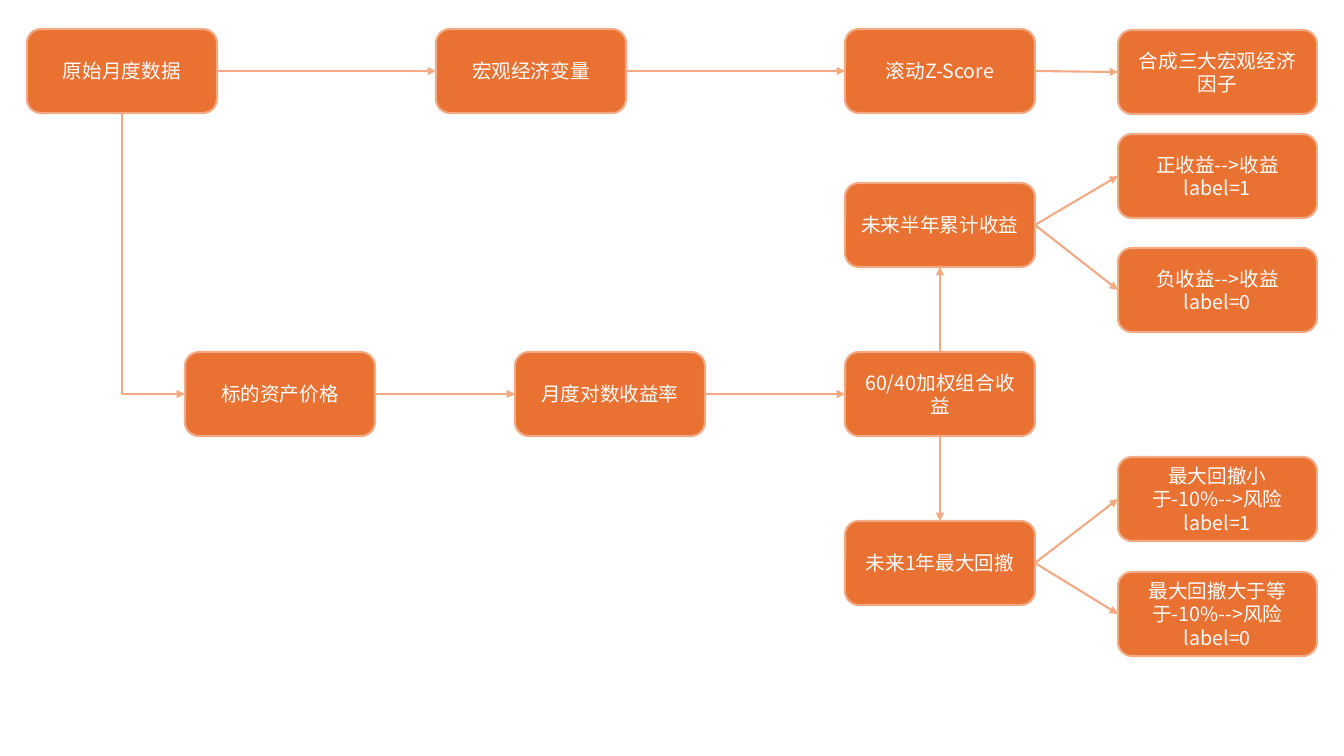
from lxml import etree
from pptx import Presentation
from pptx import util as u
from pptx.dml.color import RGBColor
from pptx.enum import shapes, text
from pptx.oxml import ns

COLOURS = {"box": "E97132", "line": "F2AA84", "text": "FFFFFF"}
FONT = "Noto Sans CJK SC"
TOP, LEFT, BOTTOM, RIGHT = range(4)
BOX_WIDTH, OUTCOME_WIDTH, BOX_HEIGHT = 190, 199, 84


def px(length):
    return u.Emu(round(length * 914400 / 100.8))


def colour(name):
    return RGBColor.from_string(COLOURS[name])


class FlowChart:
    def __init__(self, page):
        self.page = page

    def outline(self, item):
        item.line.color.rgb = colour("line")
        item.line.width = u.Pt(1.5)

    def box(self, words, left, top, width):
        box = self.page.shapes.add_shape(
            shapes.MSO_SHAPE.ROUNDED_RECTANGLE,
            px(left), px(top), px(width), px(BOX_HEIGHT))
        box.shadow.inherit = False
        box.fill.solid()
        box.fill.fore_color.rgb = colour("box")
        self.outline(box)
        frame = box.text_frame
        frame.word_wrap = True
        frame.vertical_anchor = text.MSO_ANCHOR.MIDDLE
        para = frame.paragraphs[0]
        para.alignment = text.PP_ALIGN.CENTER
        span = para.add_run()
        span.text = words
        span.font.size = u.Pt(14)
        span.font.name = FONT
        span.font.color.rgb = colour("text")
        east_asian = etree.SubElement(span.font._element, ns.qn("a:ea"))
        east_asian.set("typeface", FONT)
        return box

    def arrow(self, start, start_side, end, end_side,
              kind=shapes.MSO_CONNECTOR.STRAIGHT):
        arrow = self.page.shapes.add_connector(kind, 0, 0, 0, 0)
        arrow.begin_connect(start, start_side)
        arrow.end_connect(end, end_side)
        self.outline(arrow)
        line = arrow.line._get_or_add_ln()
        etree.SubElement(line, ns.qn("a:tailEnd")).set("type", "triangle")
        etree.SubElement(arrow._element.spPr, ns.qn("a:effectLst"))
        return arrow

    def corner_arrow(self, start, end):
        """Go down from start, then right into end, with a single bend."""
        arrow = self.arrow(start, BOTTOM, end, LEFT, shapes.MSO_CONNECTOR.ELBOW)
        across, down = arrow.width, arrow.height
        # The one-bend preset runs right then down, so turn and mirror it
        arrow.left += (across - down) // 2
        arrow.top += (down - across) // 2
        arrow.width, arrow.height = down, across
        frame = arrow._element.spPr.find(ns.qn("a:xfrm"))
        frame.set("rot", "16200000")
        frame.set("flipH", "1")
        arrow._element.spPr.find(ns.qn("a:prstGeom")).set("prst", "bentConnector2")


# Words, left, top, width
STEPS = {
    "data": ("原始月度数据", 27, 29, BOX_WIDTH),
    "macro": ("宏观经济变量", 436, 29, BOX_WIDTH),
    "score": ("滚动Z-Score", 845, 29, BOX_WIDTH),
    "factors": ("合成三大宏观经济因子", 1118, 30, OUTCOME_WIDTH),
    "prices": ("标的资产价格", 185, 352, BOX_WIDTH),
    "returns": ("月度对数收益率", 515, 352, BOX_WIDTH),
    "portfolio": ("60/40加权组合收益", 845, 352, BOX_WIDTH),
    "half_year": ("未来半年累计收益", 845, 183, BOX_WIDTH),
    "drawdown": ("未来1年最大回撤", 845, 521, BOX_WIDTH),
    "gain": ("正收益-->收益label=1", 1118, 134, OUTCOME_WIDTH),
    "loss": ("负收益-->收益label=0", 1118, 248, OUTCOME_WIDTH),
    "low_risk": ("最大回撤小于-10%-->风险label=1", 1118, 457, OUTCOME_WIDTH),
    "high_risk": ("最大回撤大于等于-10%-->风险label=0", 1118, 572, OUTCOME_WIDTH),
}
RIGHTWARD = [
    ("data", "macro"), ("macro", "score"), ("score", "factors"),
    ("prices", "returns"), ("returns", "portfolio"),
    ("half_year", "gain"), ("half_year", "loss"),
    ("drawdown", "low_risk"), ("drawdown", "high_risk"),
]


def main():
    deck = Presentation()
    deck.slide_width, deck.slide_height = px(1344), px(756)
    chart = FlowChart(deck.slides.add_slide(deck.slide_layouts[6]))

    # Steps and outcomes
    boxes = {name: chart.box(*step) for name, step in STEPS.items()}

    # Arrows along the rows and out to the labels
    for start, end in RIGHTWARD:
        chart.arrow(boxes[start], RIGHT, boxes[end], LEFT)

    # Arrows from the portfolio up and down, and from the data to the prices
    chart.arrow(boxes["portfolio"], TOP, boxes["half_year"], BOTTOM)
    chart.arrow(boxes["portfolio"], BOTTOM, boxes["drawdown"], TOP)
    chart.corner_arrow(boxes["data"], boxes["prices"])

    deck.save("out.pptx")


if __name__ == "__main__":
    main()
